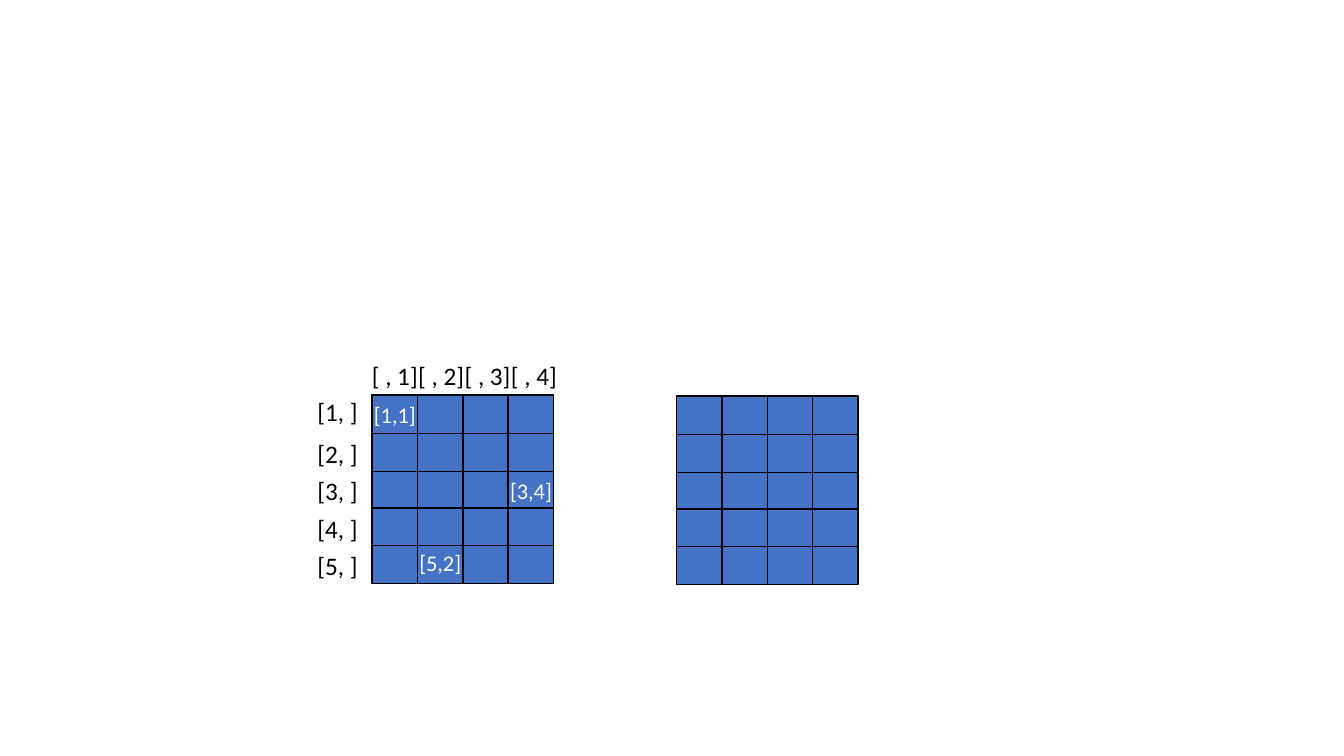
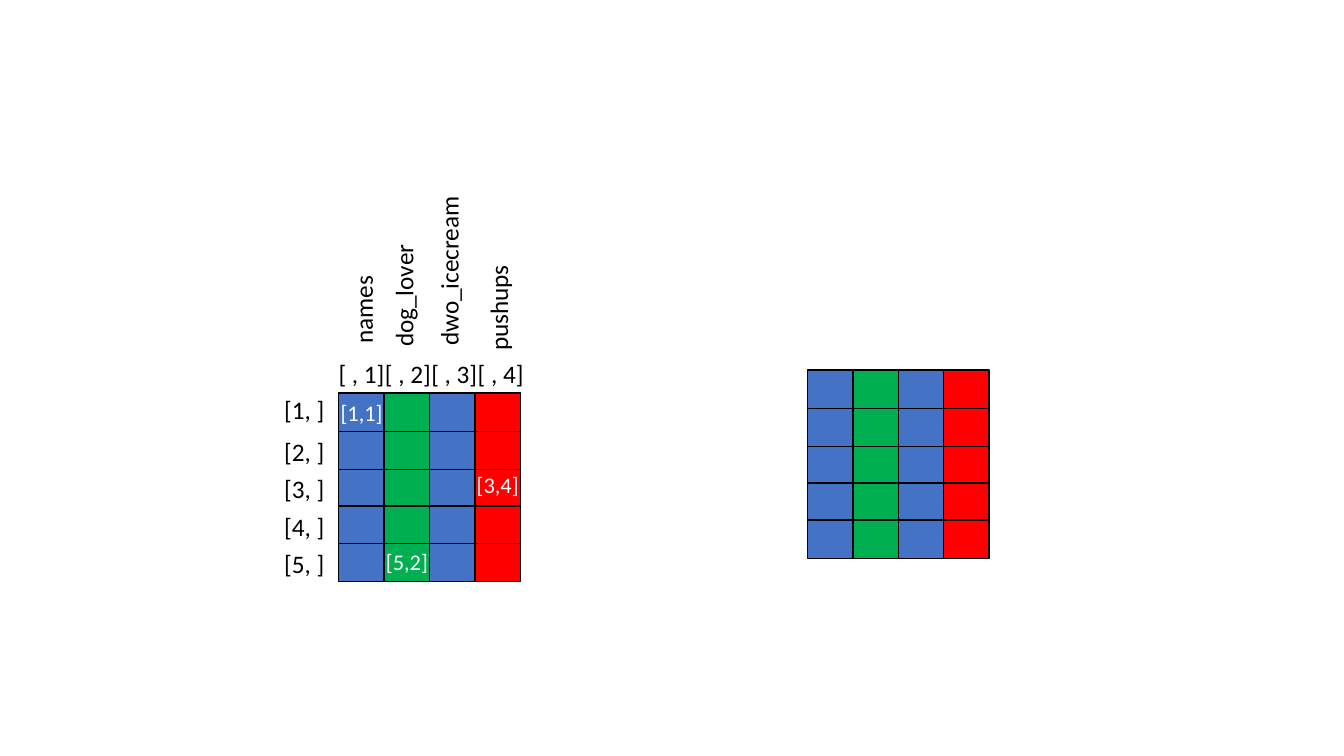
from pptx import Presentation
from pptx.dml.color import RGBColor
from pptx.enum.shapes import MSO_SHAPE
from pptx.enum.text import MSO_AUTO_SIZE
from pptx.util import Inches, Pt

RECTANGLE = MSO_SHAPE.RECTANGLE
GROW = MSO_AUTO_SIZE.SHAPE_TO_FIT_TEXT

# Shared style
BLUE, GREEN, RED = "4472C4", "00B050", "FF0000"
BLACK, WHITE = "000000", "FFFFFF"
FONT = "Calibri"
LABEL_SIZE, CELL_SIZE = 18, 16

# Shared grid, in inches from the matrix corner
CELL_WIDTH, CELL_HEIGHT = 0.45, 0.38
ROW_TOPS = [0, 0.38, 0.76, 1.12, 1.49]
ROW_LABEL_TOPS = [-0.04, 0.38, 0.75, 1.12, 1.49]
ROW_LABEL_WIDTH, COLUMN_LABEL_WIDTH, CELL_LABEL_WIDTH = 0.64, 0.73, 0.69
COLUMN_LABEL_STEP = 0.46
LABEL_HEIGHT, CELL_LABEL_HEIGHT = 0.4, 0.37


def color(hex_code):
    return RGBColor.from_string(hex_code)


def add_label(page, text, left, top, width, height=LABEL_HEIGHT,
              size=LABEL_SIZE, ink=BLACK):
    box = page.shapes.add_textbox(Inches(left), Inches(top), Inches(width), Inches(height))
    frame = box.text_frame
    frame.word_wrap = True
    frame.auto_size = GROW
    para = frame.paragraphs[0]
    para.text = text
    para.font.name = FONT
    para.font.size = Pt(size)
    para.font.color.rgb = color(ink)
    return box


# Each slide: column fills, labelled corner, plain corner,
# cell labels (row, column, vertical nudge),
# column names (text, centre from matrix left, bottom, length)
SLIDES = [
    {
        "fills": [BLUE] * 4,
        "labelled": (3.69, 3.92),
        "plain": (6.71, 3.93),
        "cells": [(1, 1, 0.01), (3, 4, 0), (5, 2, -0.01)],
        "names": [],
    },
    {
        "fills": [BLUE, GREEN, BLUE, RED],
        "labelled": (3.36, 3.9),
        "plain": (8.01, 3.67),
        "cells": [(1, 1, 0.01), (3, 4, -0.04), (5, 2, 0)],
        "names": [
            ("names", 0.24, 3.51, 0.9),
            ("dog_lover", 0.64, 3.54, 1.4),
            ("dwo_icecream", 1.09, 3.53, 1.8),
            ("pushups", 1.58, 3.58, 1.11),
        ],
    },
]

deck = Presentation()
deck.slide_width, deck.slide_height = Inches(13.33), Inches(7.5)
blank_layout = deck.slide_layouts[6]

for content in SLIDES:
    page = deck.slides.add_slide(blank_layout)

    # Both matrices, column by column
    for grid_left, grid_top in (content["labelled"], content["plain"]):
        for column, fill in enumerate(content["fills"]):
            for row_top in ROW_TOPS:
                cell = page.shapes.add_shape(
                    RECTANGLE, Inches(grid_left + column * CELL_WIDTH),
                    Inches(grid_top + row_top), Inches(CELL_WIDTH), Inches(CELL_HEIGHT))
                cell.shadow.inherit = False
                cell.fill.solid()
                cell.fill.fore_color.rgb = color(fill)
                cell.line.color.rgb = color(BLACK)
                cell.line.width = Pt(1)

    # Row and column indices
    left, top = content["labelled"]
    for row, label_top in enumerate(ROW_LABEL_TOPS, start=1):
        add_label(page, f"[{row}, ]", left - ROW_LABEL_WIDTH, top + label_top, ROW_LABEL_WIDTH)
    for column in range(4):
        add_label(page, f"[ , {column + 1}]", left - 0.1 + column * COLUMN_LABEL_STEP,
                  top - 0.39, COLUMN_LABEL_WIDTH)

    # Indices inside cells
    for row, column, nudge in content["cells"]:
        add_label(page, f"[{row},{column}]", left - 0.08 + (column - 1) * CELL_WIDTH,
                  top + ROW_TOPS[row - 1] + nudge, CELL_LABEL_WIDTH,
                  CELL_LABEL_HEIGHT, CELL_SIZE, WHITE)

    # Column names, reading upwards
    for text, centre, bottom, length in content["names"]:
        name = add_label(page, text, left + centre - length / 2,
                         bottom - length / 2 - LABEL_HEIGHT / 2, length)
        name.rotation = 270

deck.save("out.pptx")
